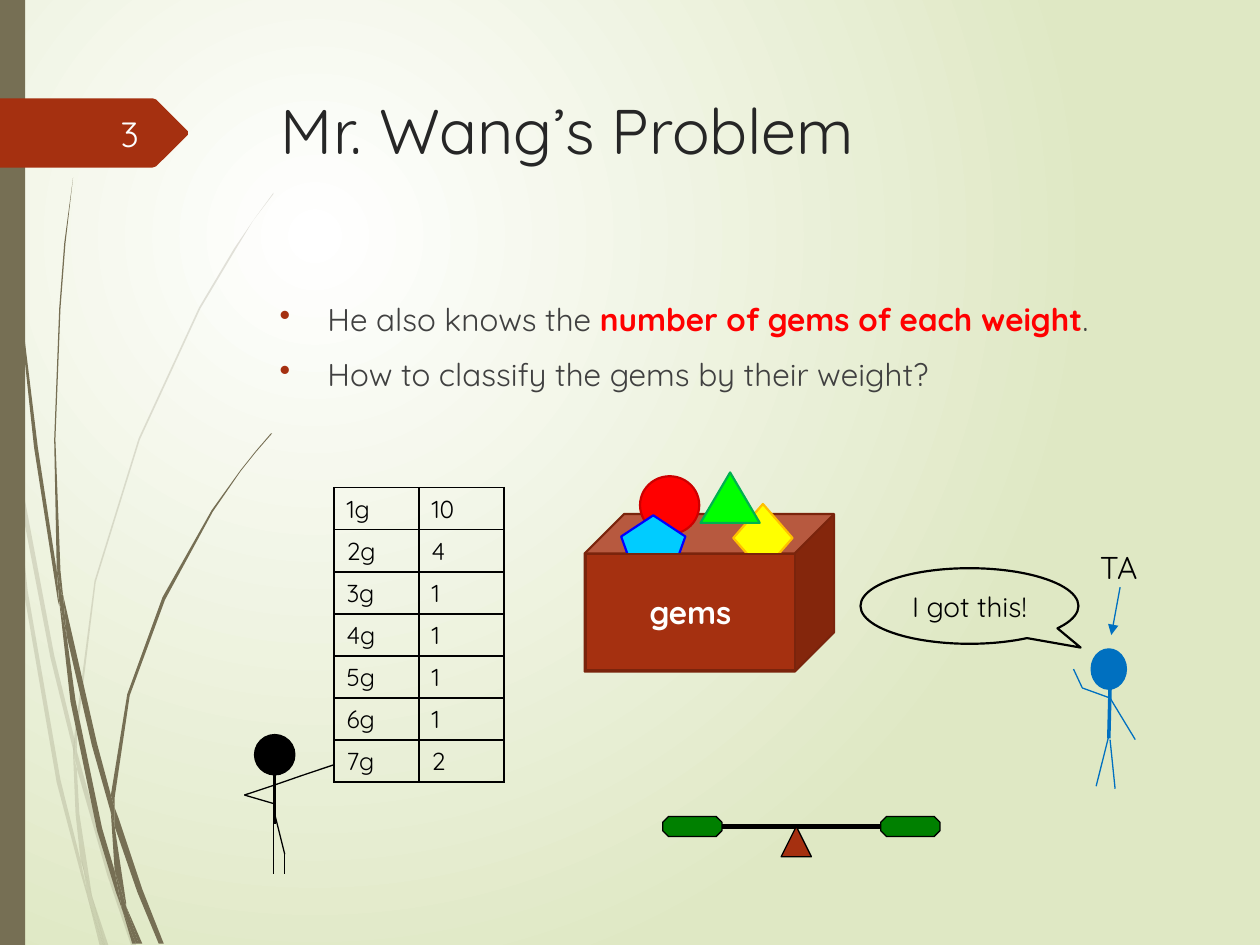
from lxml import etree
from pptx import Presentation
from pptx.dml.color import RGBColor
from pptx.enum.shapes import MSO_CONNECTOR, MSO_SHAPE
from pptx.enum.text import MSO_ANCHOR, PP_ALIGN
from pptx.oxml.ns import qn
from pptx.util import Inches, Pt

LINE = MSO_CONNECTOR.STRAIGHT
OVAL, TRIANGLE = MSO_SHAPE.OVAL, MSO_SHAPE.ISOSCELES_TRIANGLE
RECT, CUBE, OCTAGON = MSO_SHAPE.RECTANGLE, MSO_SHAPE.CUBE, MSO_SHAPE.OCTAGON
DIAMOND, PENTAGON = MSO_SHAPE.DIAMOND, MSO_SHAPE.REGULAR_PENTAGON
CALLOUT = MSO_SHAPE.OVAL_CALLOUT
LEFT, CENTER, RIGHT = PP_ALIGN.LEFT, PP_ALIGN.CENTER, PP_ALIGN.RIGHT
TOP, MIDDLE = MSO_ANCHOR.TOP, MSO_ANCHOR.MIDDLE
TITLE_ONLY = 5

COLORS = {
    "white": "FFFFFF", "leaf": "DFE8C4", "stem": "766F54", "brick": "A53010",
    "brick edge": "7A240C", "title": "262626", "body": "404040", "alert": "FF0000",
    "black": "000000", "blue": "0070C0", "number": "FEFFFF", "green": "008000",
    "yellow": "FFFF00", "gold": "FFC000", "ruby": "CC0000", "lime": "00FF00",
    "emerald": "00B050", "sky": "00CCFF", "sapphire": "0000FF",
}


def color(name):
    return RGBColor.from_string(COLORS[name])


def child(parent, tag, **attributes):
    return etree.SubElement(parent, qn(tag), attributes)


class Painter:
    font = "Quicksand"

    def __init__(self, slide, shapes=None):
        self.slide = slide
        self.shapes = shapes or slide.shapes

    def group(self):
        return Painter(self.slide, self.shapes.add_group_shape().shapes)

    def background(self, inner, outer):
        fill = self.slide.background.fill
        fill.gradient()
        for stop, name in zip(fill.gradient_stops, (inner, outer)):
            stop.color.rgb = color(name)
        gradient = next(self.slide.element.iter(qn("a:gradFill")))
        gradient.remove(gradient.find(qn("a:lin")))
        circle = child(gradient, "a:path")
        circle.set("path", "circle")
        child(circle, "a:fillToRect", l="50000", t="50000", r="100000", b="100000")

    def paint(self, shape, fill, edge=None, width=0.75):
        shape.shadow.inherit = False
        if fill:
            shape.fill.solid()
            shape.fill.fore_color.rgb = color(fill)
        else:
            shape.fill.background()
        if edge:
            shape.line.color.rgb = color(edge)
            shape.line.width = Pt(width)
        else:
            shape.line.fill.background()
        return shape

    def shape(self, kind, box, fill, edge=None, width=0.75, adjust=()):
        shape = self.shapes.add_shape(kind, *map(Inches, box))
        for index, value in enumerate(adjust):
            shape.adjustments[index] = value
        return self.paint(shape, fill, edge, width)

    def outline(self, points, fill, alpha=None):
        corners = [(Inches(x), Inches(y)) for x, y in points]
        builder = self.shapes.build_freeform(*corners[0])
        builder.add_line_segments(corners[1:], close=True)
        shape = self.paint(builder.convert_to_shape(), fill)
        if alpha:
            tint = next(shape.element.spPr.iter(qn("a:srgbClr")))
            child(tint, "a:alpha", val=str(alpha * 1000))

    def line(self, ends, ink, width=0.75, arrow=False):
        line = self.shapes.add_connector(LINE, *map(Inches, ends))
        line.line.color.rgb = color(ink)
        line.line.width = Pt(width)
        properties = line.element.spPr
        if arrow:
            child(properties.find(qn("a:ln")), "a:tailEnd", type="triangle")
        child(properties, "a:effectLst")

    def style(self, paragraph, size, ink, align=LEFT, bold=False):
        paragraph.alignment = align
        font = paragraph.font
        font.name, font.size, font.bold = self.font, Pt(size), bold
        font.color.rgb = color(ink)

    def label(self, shape, text, size, ink, align=LEFT, anchor=TOP, bold=False, wrap=True):
        frame = shape.text_frame
        frame.text, frame.word_wrap, frame.vertical_anchor = text, wrap, anchor
        self.style(frame.paragraphs[0], size, ink, align, bold)

    def text(self, box, *args, **kwargs):
        self.label(self.shapes.add_textbox(*map(Inches, box)), *args, **kwargs)

    def title(self, box, text, size, ink):
        title = self.slide.shapes.title
        title.left, title.top, title.width, title.height = map(Inches, box)
        self.label(title, text, size, ink)

    def bullets(self, box, items, size, ink, accent):
        frame = self.shapes.add_textbox(*map(Inches, box)).text_frame
        frame.word_wrap = True
        for index, parts in enumerate(items):
            paragraph = frame.add_paragraph() if index else frame.paragraphs[0]
            self.style(paragraph, size, ink)
            paragraph.space_before = Pt(10)
            indent = Inches(0.38)
            props = paragraph._p.get_or_add_pPr()
            props.set("marL", str(indent))
            props.set("indent", str(-indent))
            marker = etree.Element(qn("a:buClr"))
            child(marker, "a:srgbClr", val=COLORS[accent])
            bullet = etree.Element(qn("a:buChar"), char="•")
            for mark in (marker, bullet):
                props.find(qn("a:defRPr")).addprevious(mark)
            for part, strong in parts:
                run = paragraph.add_run()
                run.text = part
                if strong:
                    run.font.bold = True
                    run.font.color.rgb = color("alert")

    def table(self, box, rows, size, ink):
        table = self.shapes.add_table(len(rows), len(rows[0]), *map(Inches, box)).table
        table.first_row = table.horz_banding = False
        for r, row in enumerate(rows):
            for c, value in enumerate(row):
                cell = table.cell(r, c)
                cell.text = value
                self.style(cell.text_frame.paragraphs[0], size, ink)
                props = cell._tc.get_or_add_tcPr()
                for side in ("a:lnL", "a:lnR", "a:lnT", "a:lnB"):
                    border = child(child(props, side, w=str(Pt(1))), "a:solidFill")
                    child(border, "a:srgbClr", val=COLORS[ink])
                cell.fill.background()


PALE_STEMS = [
    [(.08, 3.5), (.06, 3.22), (0, 2.82), (0, 2.99), (.07, 3.44)],
    [(.4, 5.22), (.59, 5.99), (.59, 5.86), (.43, 5.2), (.1, 3.45), (.12, 3.76)],
    [(.64, 6.07), (.61, 5.96), (.61, 6.1), (.85, 6.94), (1.04, 7.5), (1.08, 7.5), (.88, 6.92)],
    [(.83, 7.5), (.86, 7.5), (.73, 7.11)],
    [(.64, 6.83), (.48, 6.19), (.22, 4.69), (.12, 3.76), (.08, 3.5), (.19, 4.7), (.45, 6.21),
     (.64, 6.93), (.7, 7.14), (.69, 7.07)],
    [(.58, 5.99), (.6, 6.46), (.64, 6.83), (.67, 6.92), (.73, 7.11), (.63, 6.46), (.61, 6.1)],
    [(.61, 5.84), (.76, 4.62), (1.11, 3.49), (1.59, 2.45), (1.87, 1.98), (2.01, 1.75), (2.17, 1.54),
     (2.17, 1.53), (2.01, 1.75), (1.86, 1.97), (1.58, 2.44), (1.1, 3.48), (.75, 4.61), (.59, 5.84),
     (.59, 5.86), (.61, 5.96)],
    [(.7, 7.14), (.79, 7.5), (.82, 7.5)],
    [(.61, 6.08), (.61, 5.96), (.59, 5.86), (.58, 5.99)],
    [(.67, 6.92), (.65, 6.83), (.69, 7.07), (.7, 7.14), (.82, 7.5), (.83, 7.5), (.73, 7.11)],
]
DARK_STEMS = [
    [(.05, 1.1), (.14, 2.33), (.27, 3.55), (.46, 4.77), (.47, 4.81), (.45, 4.53), (.3, 3.55),
     (.15, 2.32), (.06, 1.09), (.04, .48), (.03, 0), (.02, 0), (.03, .48)],
    [(.73, 5.92), (.88, 6.45), (.88, 6.31), (.77, 5.9), (.5, 4.72), (.53, 5.05)],
    [(.94, 6.49), (.91, 6.41), (.91, 6.56), (1.09, 7.08), (1.26, 7.49), (1.3, 7.49), (1.13, 7.06)],
    [(.91, 6.91), (.81, 6.57), (.6, 5.56), (.53, 5.05), (.47, 4.77), (.56, 5.57), (.77, 6.59),
     (.92, 7.08), (.97, 7.22), (.96, 7.17)],
    [(.5, 4.72), (.48, 4.53), (.44, 3.49), (.48, 2.45), (.52, 1.93), (.58, 1.41), (.51, 1.93),
     (.47, 2.45), (.43, 3.49), (.45, 4.49), (.49, 4.72)],
    [(1.1, 7.49), (1.13, 7.49), (1, 7.19)],
    [(.47, 4.77), (.53, 5.05), (.5, 4.72), (.49, 4.72), (.45, 4.49), (.45, 4.53)],
    [(.91, 6.33), (1.03, 5.52), (1.31, 4.76), (1.69, 4.06), (1.91, 3.74), (2.03, 3.59), (2.16, 3.44),
     (2.15, 3.44), (2.03, 3.58), (1.91, 3.73), (1.68, 4.05), (1.29, 4.74), (1.01, 5.51), (.88, 6.31),
     (.91, 6.41)],
    [(.97, 7.22), (1.05, 7.49), (1.08, 7.49)],
    [(.88, 6.45), (.91, 6.91), (.96, 7.06), (1, 7.19), (1, 7.16), (.91, 6.56), (.9, 6.51)],
    [(.88, 6.45), (.9, 6.51), (.91, 6.56), (.91, 6.41), (.88, 6.31)],
    [(.96, 7.06), (.91, 6.91), (.96, 7.17), (.97, 7.22), (1.08, 7.49), (1.1, 7.49), (1, 7.19)],
]
BADGE = [(1.49, 1.07), (1.24, 1.32), (1.21, 1.33), (0, 1.33), (0, .78), (1.21, .78), (1.24, .79), (1.49, 1.04)]
WANG_LIMBS = [(2.18, 6.23, 1.94, 6.31), (1.94, 6.31, 2.18, 6.38), (2.17, 6.46, 2.17, 6.94),
              (2.18, 6.46, 2.26, 6.78), (2.18, 6.23, 2.41, 6.15), (2.65, 6.07, 2.41, 6.15),
              (2.26, 6.78, 2.26, 6.94)]
TA_LIMBS = [(8.81, 5.54, 9.01, 5.87), (8.8, 5.84, 8.7, 6.24), (8.81, 5.54, 8.59, 5.46),
            (8.52, 5.31, 8.59, 5.46), (8.81, 5.87, 8.85, 6.26)]
PEOPLE = [((2.02, 5.83, .32, .32), (2.18, 6.15, 2.18, 6.54), WANG_LIMBS, "black"),
          ((8.66, 5.15, .28, .32), (8.81, 5.46, 8.8, 5.86), TA_LIMBS, "blue")]
GEMS = [(CUBE, (4.64, 4.08, 1.98, 1.25), "brick", "brick edge"),
        (DIAMOND, (5.82, 4, .47, .54), "yellow", "gold"),
        (OVAL, (5.08, 3.78, .47, .46), "alert", "ruby"),
        (TRIANGLE, (5.56, 3.75, .47, .4), "lime", "emerald"),
        (PENTAGON, (4.93, 4.09, .51, .44), "sky", "sapphire")]
COUNTS = [10, 4, 1, 1, 1, 1, 2]

deck = Presentation()
deck.slide_width, deck.slide_height = Inches(10), Inches(7.5)
painter = Painter(deck.slides.add_slide(deck.slide_layouts[TITLE_ONLY]))
painter.background("white", "leaf")
for stems, alpha in ((PALE_STEMS, 20), (DARK_STEMS, None)):
    plant = painter.group()
    for stem in stems:
        plant.outline(stem, "stem", alpha)
painter.shape(RECT, (0, 0, .2, 7.5), "stem")
painter.outline(BADGE, "brick")
painter.title((2.13, .68, 7.21, 1.4), "Mr. Wang’s Problem", 36, "title")
painter.bullets((2.12, 2.33, 7.21, 4.13), [
    [("He also knows the ", False), ("number of gems of each weight", True), (".", False)],
    [("How to classify the gems by their weight?", False)],
], 18, "body", "brick")
for gem in GEMS:
    painter.shape(*gem, width=1.25)
crate = painter.shape(RECT, (4.65, 4.4, 1.66, .92), "brick", "brick edge", 1.25)
painter.label(crate, "gems", 18, "white", CENTER, MIDDLE, bold=True)
for head, torso, limbs, ink in PEOPLE:
    person = painter.group()
    person.shape(OVAL, head, ink, ink)
    person.line(torso, ink, 2)
    for limb in limbs:
        person.line(limb, ink)
weights = [(f"{grams}g", str(count)) for grams, count in enumerate(COUNTS, 1)]
painter.table((2.65, 3.87, 1.35, 2.33), weights, 14, "black")
painter.text((8.63, 4.3, .52, .4), "TA", 18, "black", wrap=False)
painter.line((8.89, 4.66, 8.82, 5.04), "blue", arrow=True)
balance = painter.group()
balance.line((5.42, 6.56, 7.31, 6.56), "black", 3)
balance.shape(TRIANGLE, (6.2, 6.56, .24, .24), "brick", "black")
for pan_left in (5.26, 6.99):
    balance.shape(OCTAGON, (pan_left, 6.48, .47, .16), "green", "black", adjust=[.29])
painter.text((.56, .86, .64, .4), "3", 20, "number", RIGHT, MIDDLE)
speech = painter.shape(CALLOUT, (6.83, 4.51, 1.73, .6), None, "black", 1.25, [.51, .55])
painter.label(speech, "I got this!", 16, "black", CENTER, MIDDLE)
deck.save("out.pptx")
